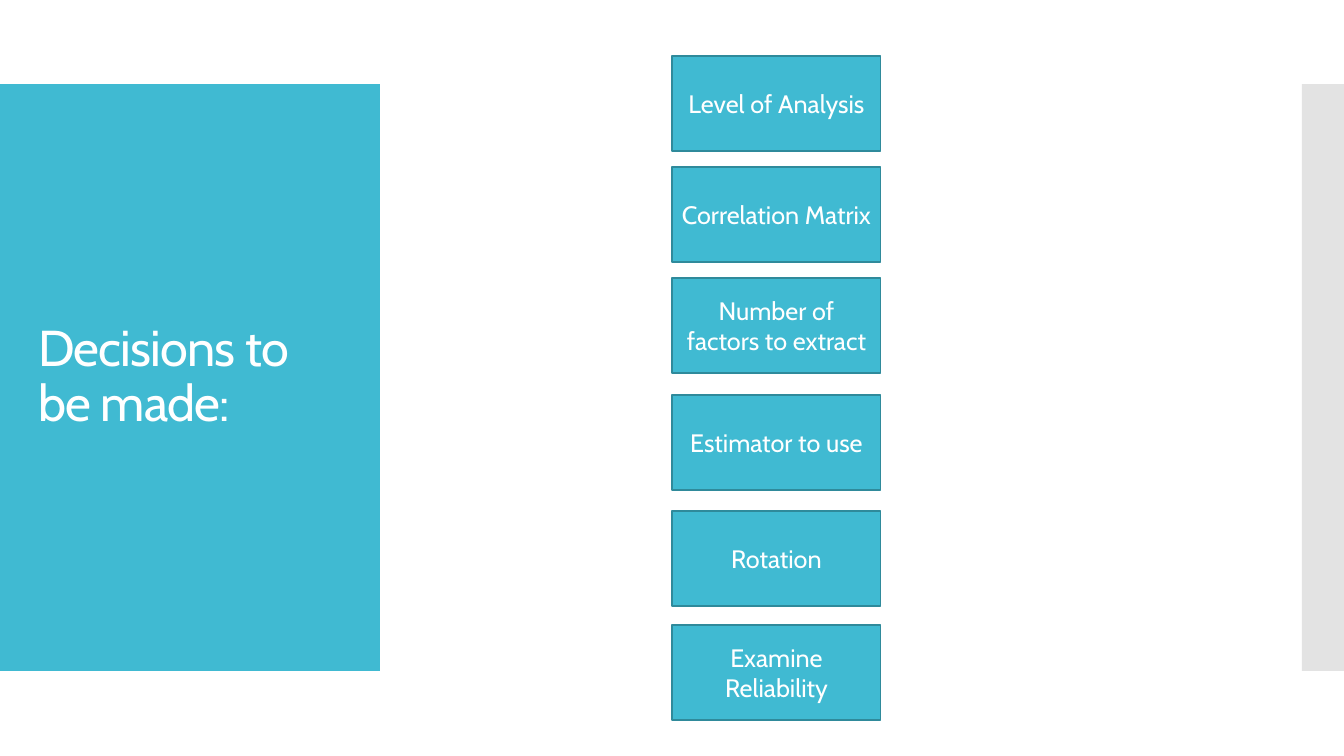
from lxml import etree
from pptx import Presentation
from pptx.dml.color import RGBColor
from pptx.enum.shapes import MSO_SHAPE
from pptx.enum.text import MSO_ANCHOR, MSO_AUTO_SIZE, PP_ALIGN
from pptx.oxml.ns import qn
from pptx.util import Emu, Pt

RECT = MSO_SHAPE.RECTANGLE
MIDDLE = MSO_ANCHOR.MIDDLE
FIXED = MSO_AUTO_SIZE.NONE
LEFT, CENTER = PP_ALIGN.LEFT, PP_ALIGN.CENTER

SCALE = 914400 / 100.8
COLORS = {"teal": "40BAD2", "edge": "2F8A9B", "gray": "C8C8C8", "white": "FFFFFF"}
STEPS = [
    ("Level of Analysis", 56),
    ("Correlation Matrix", 167),
    ("Number of factors to extract", 278),
    ("Estimator to use", 395),
    ("Rotation", 511),
    ("Examine Reliability", 625),
]


def px(count):
    return Emu(round(count * SCALE))


def rgb(name):
    return RGBColor.from_string(COLORS[name])


class Deck:
    font = "Cabin"

    def __init__(self, width, height):
        self.file = Presentation()
        self.file.slide_width, self.file.slide_height = px(width), px(height)
        self.slide = self.file.slides.add_slide(self.file.slide_layouts[5])

    def label(self, shape, text, size, align, inset):
        frame = shape.text_frame
        frame.text = text
        frame.word_wrap = True
        frame.auto_size = FIXED
        frame.vertical_anchor = MIDDLE
        frame.margin_left = frame.margin_right = px(inset)
        line = frame.paragraphs[0]
        line.alignment = align
        run = line.runs[0]
        run.font.name = self.font
        run.font.size = Pt(size)
        run.font.color.rgb = rgb("white")
        return line

    def panel(self, left, top, width, height, color, alpha=100):
        shape = self.slide.shapes.add_shape(RECT, px(left), px(top), px(width), px(height))
        shape.shadow.inherit = False
        shape.fill.solid()
        shape.fill.fore_color.rgb = rgb(color)
        shape.line.fill.background()
        if alpha < 100:
            tint = shape._element.spPr.find(".//" + qn("a:srgbClr"))
            etree.SubElement(tint, qn("a:alpha")).set("val", str(alpha * 1000))
        return shape

    def title(self, text, left, top, width, height):
        shape = self.slide.shapes.title
        shape.left, shape.top = px(left), px(top)
        shape.width, shape.height = px(width), px(height)
        line = self.label(shape, text, 36, LEFT, 10)
        line.line_spacing = 0.9
        line.runs[0]._r.get_or_add_rPr().set("spc", "-60")
        self.slide.shapes._spTree.append(shape._element)

    def step(self, text, top):
        shape = self.panel(672, top, 209, 95, "teal")
        shape.line.color.rgb = rgb("edge")
        shape.line.width = Pt(0.85)
        self.label(shape, text, 18, CENTER, 8)


def main():
    deck = Deck(1344, 756)
    deck.panel(0, 84, 380, 587, "teal")
    deck.panel(1302, 84, 42, 587, "gray", 50)
    deck.title("Decisions to be made:", 28, 124, 325, 507)
    for text, top in STEPS:
        deck.step(text, top)
    deck.file.save("out.pptx")


if __name__ == "__main__":
    main()
